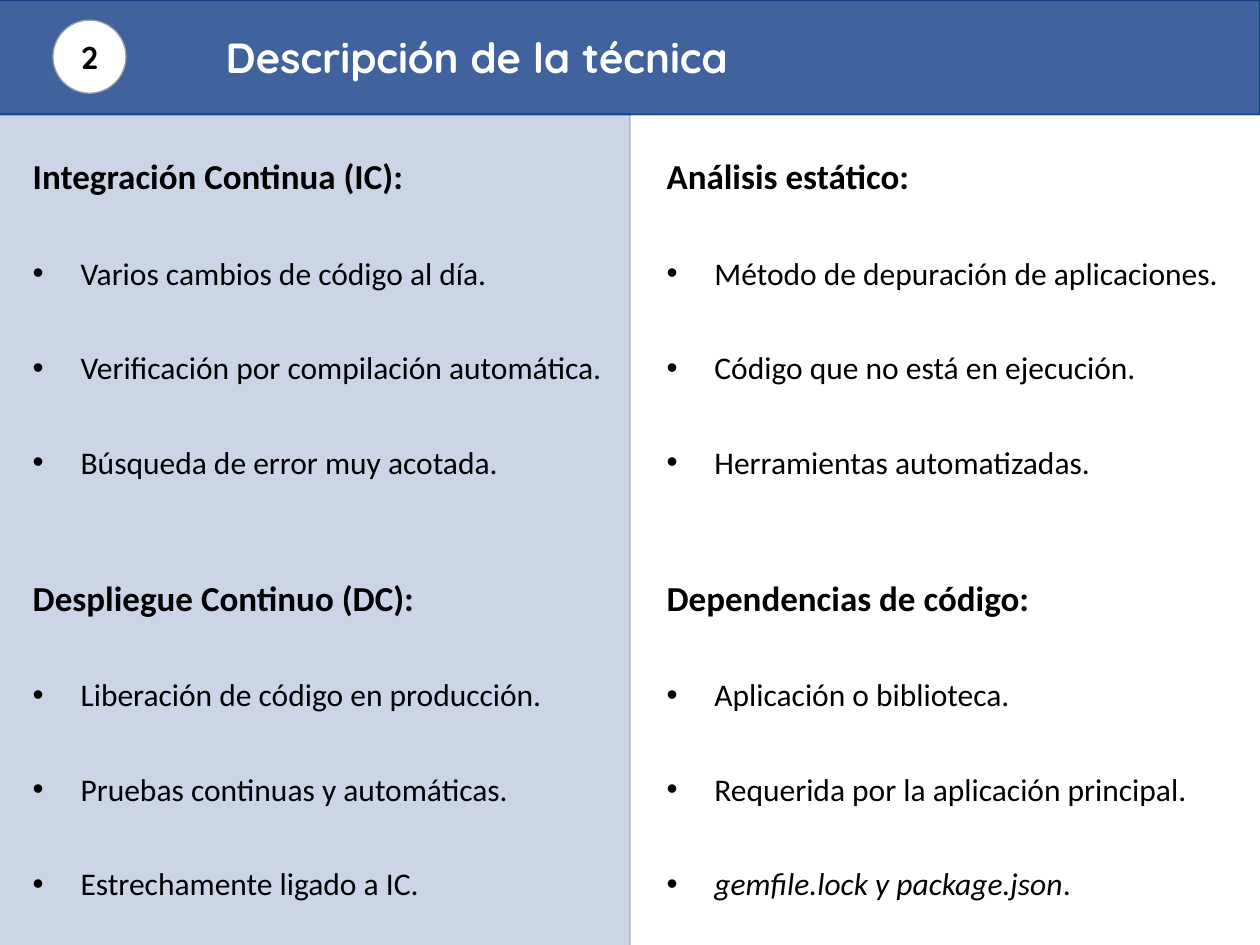
"""Build the slide describing continuous integration, deployment and code analysis."""
from dataclasses import dataclass
from typing import NamedTuple

import pptx
import pptx.dml.color
import pptx.enum.shapes
import pptx.enum.text
import pptx.oxml.ns
import pptx.oxml.xmlchemy
import pptx.util
from lxml import etree

SLIDE_WIDTH = pptx.util.Inches(10)
SLIDE_HEIGHT = pptx.util.Inches(7.5)
COLUMN = SLIDE_WIDTH / 100
ROW = SLIDE_HEIGHT / 75
NAVY = pptx.dml.color.RGBColor(0x00, 0x2F, 0x7D)
GREY = pptx.dml.color.RGBColor(0x99, 0x9F, 0xA9)
WHITE = pptx.dml.color.RGBColor(0xFF, 0xFF, 0xFF)
BLACK = pptx.dml.color.RGBColor(0x00, 0x00, 0x00)
TITLE_FONT = "Quicksand"
BODY_FONT = "Calibri"
HANGING = pptx.util.Inches(0.38)
SECTION_GAP = 55


class Area(NamedTuple):
    left: float
    top: float
    width: float
    height: float


@dataclass(frozen=True)
class Panel:
    preset: pptx.enum.shapes.MSO_SHAPE
    area: Area
    fill: pptx.dml.color.RGBColor
    line: pptx.dml.color.RGBColor
    line_width: float
    opacity: int = 100


class Item(NamedTuple):
    text: str
    italic_start: str = ""


class Section(NamedTuple):
    heading: str
    items: tuple[Item, ...]


RECTANGLE = pptx.enum.shapes.MSO_SHAPE.RECTANGLE
HEADER = Panel(RECTANGLE, Area(-0.2, 0, 100.2, 9.1), NAVY, NAVY, 1, 75)
LEFT_HALF = Panel(RECTANGLE, Area(-0.2, 9, 50.2, 67.5), NAVY, NAVY, 1, 20)
BADGE = Panel(pptx.enum.shapes.MSO_SHAPE.OVAL, Area(4.2, 1.6, 5.8, 5.8), WHITE, GREY, 0.75)
TITLE_AREA = Area(16.9, 2, 82.3, 5)
LIST_AREAS = [Area(left, 11.8, 49, 68.3) for left in (1.6, 51.9)]
LISTS = [
    [
        Section("Integración Continua (IC):", (
            Item("Varios cambios de código al día."),
            Item("Verificación por compilación automática."),
            Item("Búsqueda de error muy acotada."),
        )),
        Section("Despliegue Continuo (DC):", (
            Item("Liberación de código en producción."),
            Item("Pruebas continuas y automáticas."),
            Item("Estrechamente ligado a IC."),
        )),
    ],
    [
        Section("Análisis estático:", (
            Item("Método de depuración de aplicaciones."),
            Item("Código que no está en ejecución."),
            Item("Herramientas automatizadas."),
        )),
        Section("Dependencias de código:", (
            Item("Aplicación o biblioteca."),
            Item("Requerida por la aplicación principal."),
            Item(".", italic_start="gemfile.lock y package.json"),
        )),
    ],
]


def place(shape, area: Area) -> None:
    """Move a shape to an area given in grid columns and rows."""
    shape.left, shape.width = round(area.left * COLUMN), round(area.width * COLUMN)
    shape.top, shape.height = round(area.top * ROW), round(area.height * ROW)


def bring_to_front(shape) -> None:
    """Put a shape above everything drawn so far."""
    shape.element.getparent().append(shape.element)


def style(paragraph, name: str, size: float, color, bold: bool) -> None:
    """Set the font that all runs of a paragraph share."""
    font = paragraph.font
    font.name, font.size, font.bold = name, pptx.util.Pt(size), bold
    font.color.rgb = color


def draw_panel(slide, panel: Panel):
    """Draw a filled and outlined preset shape."""
    shape = slide.shapes.add_shape(panel.preset, 0, 0, 0, 0)
    place(shape, panel.area)
    shape.shadow.inherit = False
    shape.fill.solid()
    shape.fill.fore_color.rgb = panel.fill
    shape.line.color.rgb = panel.line
    shape.line.width = pptx.util.Pt(panel.line_width)
    if panel.opacity < 100:
        for color in shape.element.spPr.iter(pptx.oxml.ns.qn("a:srgbClr")):
            alpha = etree.SubElement(color, pptx.oxml.ns.qn("a:alpha"))
            alpha.set("val", str(panel.opacity * 1000))
    return shape


def set_bullet(paragraph, bulleted: bool) -> None:
    """Give a paragraph a hanging bullet, or remove the inherited one."""
    properties = paragraph._p.get_or_add_pPr()
    indent = HANGING if bulleted else 0
    properties.set("marL", str(indent))
    properties.set("indent", str(-indent))
    if bulleted:
        font = etree.SubElement(properties, pptx.oxml.ns.qn("a:buFont"))
        font.set("typeface", "Arial")
        mark = etree.SubElement(properties, pptx.oxml.ns.qn("a:buChar"))
        mark.set("char", "•")
    else:
        etree.SubElement(properties, pptx.oxml.ns.qn("a:buNone"))


def add_line(frame, item: Item, is_heading: bool, gap: float):
    """Add a heading or a bulleted line to a list."""
    first = not frame.text
    paragraph = frame.paragraphs[0] if first else frame.add_paragraph()
    set_bullet(paragraph, not is_heading)
    paragraph.space_before = pptx.util.Pt(gap)
    paragraph.line_spacing = 1.0 if is_heading else 2.5
    style(paragraph, BODY_FONT, 20 if is_heading else 18, BLACK, is_heading)
    if item.italic_start:
        start = paragraph.add_run()
        start.text = item.italic_start
        start.font.italic = True
    paragraph.add_run().text = item.text


def fill_list(placeholder, area: Area, sections: list[Section]) -> None:
    """Fill a body placeholder with headed sections."""
    place(placeholder, area)
    bring_to_front(placeholder)
    frame = placeholder.text_frame
    frame.word_wrap = True
    frame.auto_size = pptx.enum.text.MSO_AUTO_SIZE.SHAPE_TO_FIT_TEXT
    for number, section in enumerate(sections):
        add_line(frame, Item(section.heading), True, number * SECTION_GAP)
        for item in section.items:
            add_line(frame, item, False, 0)


def fill_title(title) -> None:
    """Format the title placeholder for the header band."""
    place(title, TITLE_AREA)
    bring_to_front(title)
    frame = title.text_frame
    frame.text = "Descripción de la técnica"
    frame.auto_size = pptx.enum.text.MSO_AUTO_SIZE.NONE
    frame.vertical_anchor = pptx.enum.text.MSO_ANCHOR.MIDDLE
    frame.margin_top = frame.margin_bottom = pptx.util.Inches(0.1)
    paragraph = frame.paragraphs[0]
    paragraph.alignment = pptx.enum.text.PP_ALIGN.LEFT
    paragraph.space_before = pptx.util.Pt(6)
    style(paragraph, TITLE_FONT, 24, WHITE, True)


def fill_badge(badge) -> None:
    """Write the section number in its circle."""
    frame = badge.text_frame
    frame.text = "2"
    frame.word_wrap = False
    frame.vertical_anchor = pptx.enum.text.MSO_ANCHOR.MIDDLE
    frame.paragraphs[0].alignment = pptx.enum.text.PP_ALIGN.CENTER
    style(frame.paragraphs[0], TITLE_FONT, 18, BLACK, True)


def main() -> None:
    """Build and save the presentation."""
    deck = pptx.Presentation()
    deck.slide_width, deck.slide_height = SLIDE_WIDTH, SLIDE_HEIGHT
    slide = deck.slides.add_slide(deck.slide_layouts.get_by_name("Two Content"))
    title, *bodies = slide.placeholders
    draw_panel(slide, HEADER)
    fill_title(title)
    fill_badge(draw_panel(slide, BADGE))
    draw_panel(slide, LEFT_HALF)
    for body, area, sections in zip(bodies, LIST_AREAS, LISTS):
        fill_list(body, area, sections)
    deck.save("out.pptx")


if __name__ == "__main__":
    main()
